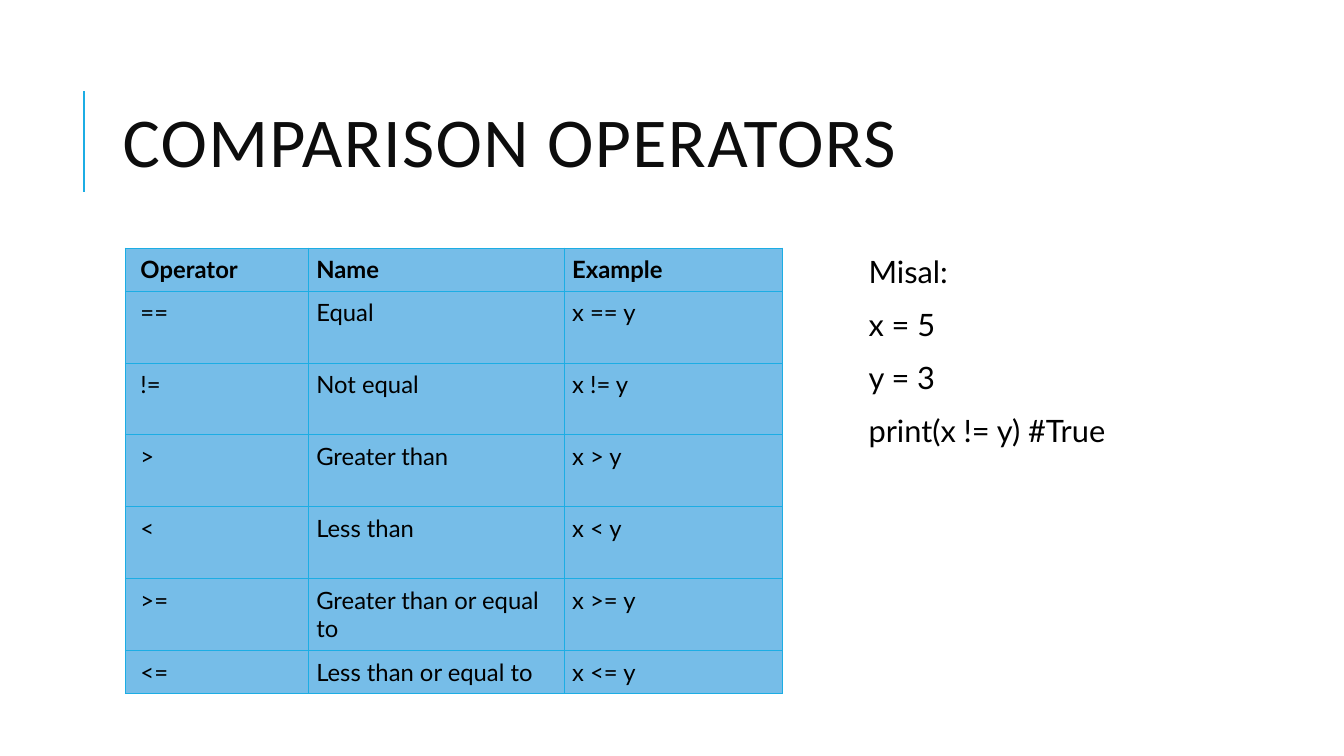
import pptx
import pptx.util
import pptx.dml.color
import pptx.enum.shapes
import pptx.enum.text
import pptx.oxml
import pptx.oxml.ns

Cm, Pt = pptx.util.Cm, pptx.util.Pt
RGB = pptx.dml.color.RGBColor.from_string
COLORS = {"accent": "1CADE4", "cell": "76BDE8", "title": "0D0D0D", "text": "000000"}


def write(tf, text, size, font="Lato", color="text", bold=False, tracking=0,
          line=1.0, before=0, after=0):
    """Fill a text frame, one paragraph per line of text."""
    tf.word_wrap = True
    for i, words in enumerate(text.split("\n")):
        p = tf.paragraphs[0] if i == 0 else tf.add_paragraph()
        p.line_spacing = line
        p.space_before, p.space_after = Pt(before), Pt(after)
        r = p.add_run()
        r.text = words
        r.font.name, r.font.size, r.font.bold = font, Pt(size), bold
        r.font.color.rgb = RGB(COLORS[color])
        if tracking:
            r.font._element.set("spc", str(tracking * 100))


def add_borders(cell, color, width):
    """Draw all four borders of a table cell; call before setting its fill."""
    tcPr = cell._tc.get_or_add_tcPr()
    for side in ("lnL", "lnR", "lnT", "lnB"):
        tcPr.append(pptx.oxml.parse_xml(
            f'<a:{side} {pptx.oxml.ns.nsdecls("a")} w="{Pt(width)}">'
            f'<a:solidFill><a:srgbClr val="{COLORS[color]}"/></a:solidFill></a:{side}>'))


prs = pptx.Presentation()
prs.slide_width, prs.slide_height = Cm(33.87), Cm(19.05)
s = prs.slides.add_slide(prs.slide_layouts[6])

# Accent line beside the title
rule = s.shapes.add_connector(pptx.enum.shapes.MSO_CONNECTOR.STRAIGHT,
                              Cm(2.12), Cm(4.83), Cm(2.12), Cm(2.29))
rule.line.color.rgb = RGB(COLORS["accent"])
rule.line.width = Pt(1.5)
rule._element.spPr.append(pptx.oxml.parse_xml(
    f'<a:effectLst {pptx.oxml.ns.nsdecls("a")}/>'))

# Title
sp = s.shapes.add_textbox(Cm(2.84), Cm(1.63), Cm(27), Cm(4.17))
sp.text_frame.vertical_anchor = pptx.enum.text.MSO_ANCHOR.MIDDLE
write(sp.text_frame, "COMPARISON OPERATORS", 50, font="Calibri", color="title",
      tracking=1, line=0.8)

# Operator table
rows = [
    ("Operator", "Name", "Example"),
    ("==", "Equal", "x == y"),
    ("!=", "Not equal", "x != y"),
    (">", "Greater than", "x > y"),
    ("<", "Less than", "x < y"),
    (">=", "Greater than or equal to", "x >= y"),
    ("<=", "Less than or equal to", "x <= y"),
]
col_widths = (4.62, 6.45, 5.5)
row_heights = [1.09] + [1.81] * 5 + [1.09]
table = s.shapes.add_table(len(rows), len(col_widths), Cm(3.16), Cm(6.25),
                           Cm(sum(col_widths)), Cm(sum(row_heights))).table
for column, width in zip(table.columns, col_widths):
    column.width = Cm(width)
for i, (row, height) in enumerate(zip(rows, row_heights)):
    table.rows[i].height = Cm(height)
    for j, text in enumerate(row):
        cell = table.cell(i, j)
        cell.margin_left = Cm(0.38 if j == 0 else 0.19)
        cell.margin_right = cell.margin_top = cell.margin_bottom = Cm(0.18)
        add_borders(cell, "accent", 0.75)
        cell.fill.solid()
        cell.fill.fore_color.rgb = RGB(COLORS["cell"])
        write(cell.text_frame, text, 17, bold=i == 0)

# Code example
sp = s.shapes.add_textbox(Cm(21.51), Cm(6.35), Cm(8.33), Cm(11.18))
tf = sp.text_frame
tf.margin_left = Cm(0.38)
tf.margin_right = tf.margin_top = tf.margin_bottom = Cm(0.13)
write(tf, "Misal:\nx = 5\ny = 3\nprint(x != y) #True", 22,
      line=0.9, before=12, after=2)

prs.save("out.pptx")
